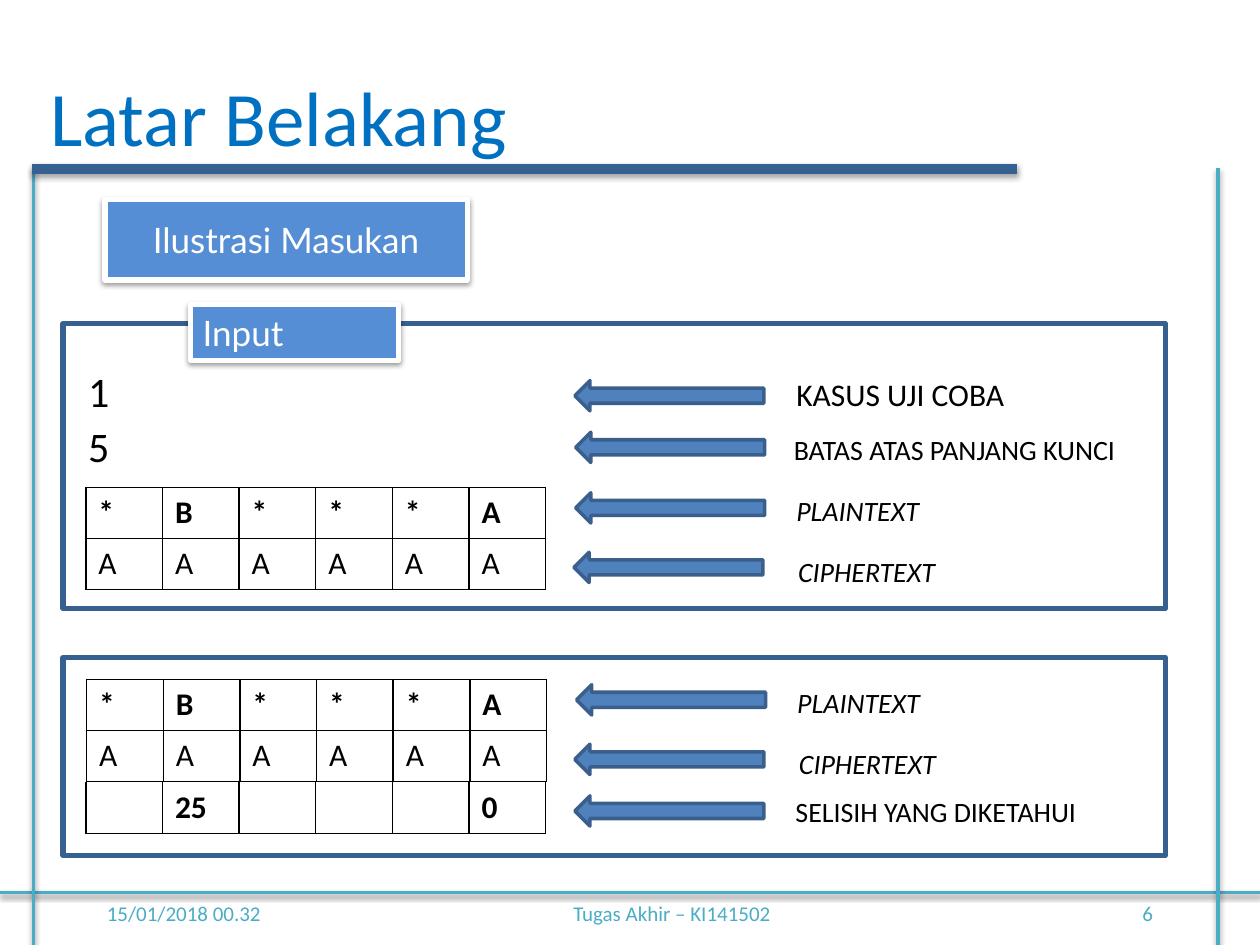
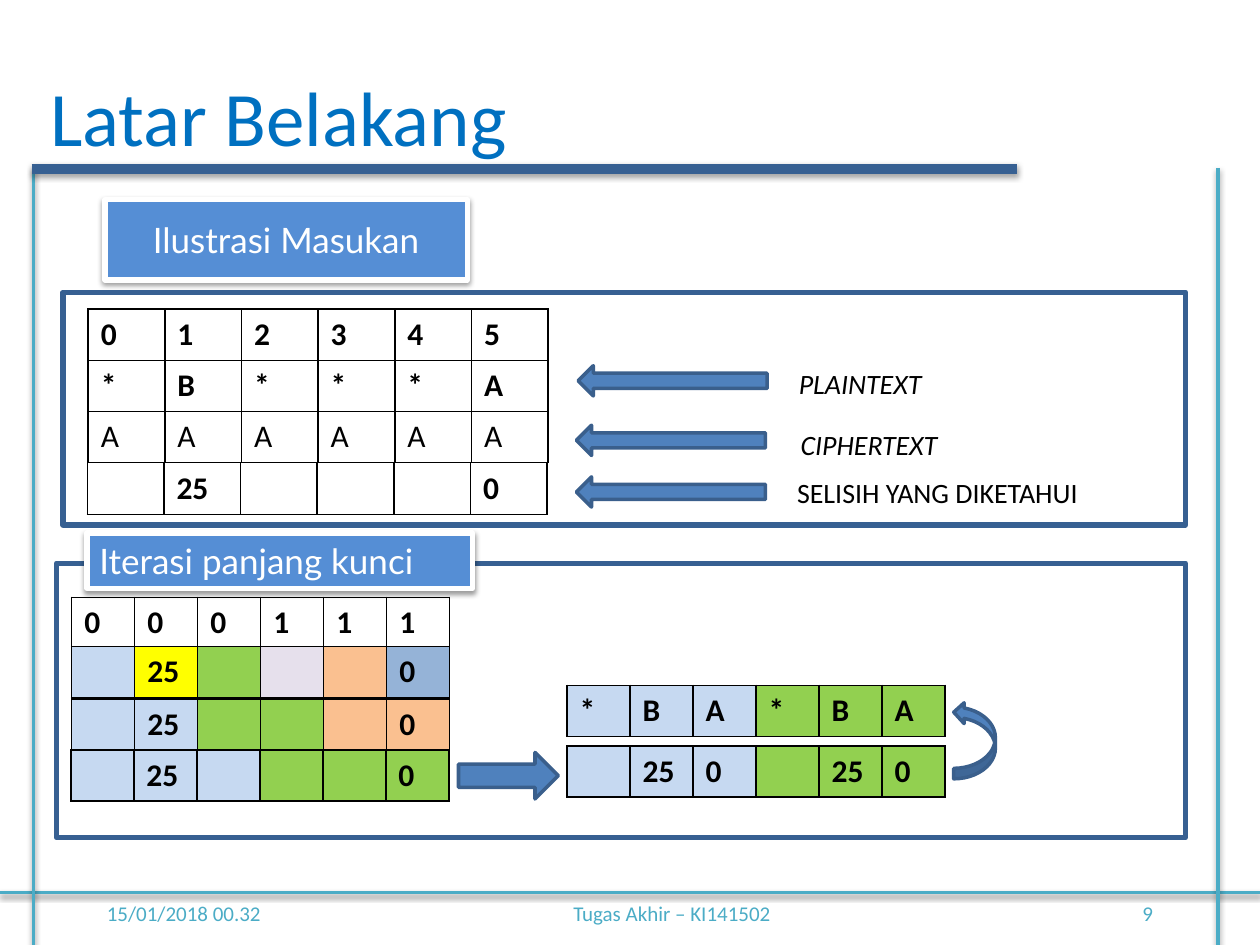
"""Build two slides that illustrate the cipher input and the key length iteration."""
from dataclasses import dataclass

from lxml import etree
from pptx import Presentation
from pptx.dml.color import RGBColor
from pptx.enum.shapes import MSO_CONNECTOR, MSO_SHAPE
from pptx.enum.text import MSO_ANCHOR, PP_ALIGN
from pptx.oxml.ns import qn
from pptx.util import Pt

STRAIGHT = MSO_CONNECTOR.STRAIGHT
RECTANGLE = MSO_SHAPE.RECTANGLE
LEFT_ARROW = MSO_SHAPE.LEFT_ARROW
RIGHT_ARROW = MSO_SHAPE.RIGHT_ARROW
CURVED_ARROW = MSO_SHAPE.CURVED_RIGHT_ARROW
TOP, MIDDLE = MSO_ANCHOR.TOP, MSO_ANCHOR.MIDDLE
LEFT, CENTER, RIGHT = PP_ALIGN.LEFT, PP_ALIGN.CENTER, PP_ALIGN.RIGHT

WIDTH, HEIGHT = 720, 540
BLACK, WHITE = "000000", "FFFFFF"
TEAL, NAVY, TITLE_BLUE = "4BACC6", "376092", "0070C0"
LABEL_BLUE, ARROW_BLUE, ARROW_EDGE = "558ED5", "4F81BD", "3A5F8C"
CELL_FILLS = {
    "b": "C6D9F1",
    "g": "92D050",
    "y": "FFFF00",
    "l": "E6E0EC",
    "o": "FAC090",
    "d": "95B3D7",
}
ROW_HEIGHT = 29.2
WIDE, NARROW = 262.8, 216


@dataclass(frozen=True)
class Frame:
    """A place on the slide, in points."""

    left: float
    top: float
    width: float
    height: float


@dataclass(frozen=True)
class TextStyle:
    """The look of one paragraph."""

    size: float
    color: str = BLACK
    font: str = "Calibri"
    align: PP_ALIGN = LEFT
    bold: bool = False
    italic: bool = False
    space_after: float = 0


@dataclass(frozen=True)
class Rule:
    """A straight line with a soft shadow."""

    start: tuple[float, float]
    end: tuple[float, float]
    color: str = TEAL
    weight: float = 2
    opacity: int = 38


@dataclass(frozen=True)
class Grid:
    """A table of equal columns whose first row is bold."""

    left: float
    top: float
    width: float
    rows: list[list[str]]
    fills: str = ""
    sides: str = "LRTB"


@dataclass(frozen=True)
class Note:
    """An arrow and its caption."""

    text: str
    arrow: tuple[float, float]
    caption: tuple[float, float]
    size: float = 16
    italic: bool = False

    def shifted(self, left: float, top: float) -> "Note":
        """Return the note moved by the given distance."""
        arrow = (self.arrow[0] + left, self.arrow[1] + top)
        caption = (self.caption[0] + left, self.caption[1] + top)
        return Note(self.text, arrow, caption, self.size, self.italic)


RULES = [
    Rule((0, 510), (WIDTH, 510)),
    Rule((19.2, 96), (19.2, HEIGHT)),
    Rule((696, 96), (696, HEIGHT)),
    Rule((18, 96.5), (581, 96.5), NAVY, 6, 35),
]
LABEL_STYLE = TextStyle(20, WHITE, "Lato", space_after=3)
HEADING_STYLE = TextStyle(20, WHITE, "Lato", CENTER, space_after=3)
CIPHER_ROWS = [list("*B***A"), list("AAAAAA")]
DIFFERENCE = ["", "25", "", "", "", "0"]
CIPHER_NOTES = [
    Note("PLAINTEXT", (280, 3), (399, 0), italic=True),
    Note("CIPHERTEXT", (279, 37), (400, 35), italic=True),
]
DIFFERENCE_NOTE = Note("SELISIH YANG DIKETAHUI", (279, 66.5), (398, 62))
INPUT_NOTES = [
    Note("KASUS UJI COBA", (328.5, 217.5), (448, 211), 18),
    Note("BATAS ATAS PANJANG KUNCI", (329, 247), (446.5, 243.5)),
]
ITERATION_GRIDS = [
    Grid(41, 341.3, NARROW, [list("000111")], sides="LRT"),
    Grid(41, 369.5, NARROW, [DIFFERENCE], "byglod"),
    Grid(41, 399.5, NARROW, [DIFFERENCE], "bbggoo"),
    Grid(40.5, 428.5, NARROW, [DIFFERENCE], "bbbggg"),
    Grid(324, 426.2, NARROW, [["", "25", "0"] * 2], "bbbggg"),
    Grid(324, 391.7, NARROW, [list("*BA*BA")], "bbbggg"),
]


def rgb(value: str) -> RGBColor:
    """Turn a hex string into a colour."""
    return RGBColor.from_string(value)


def add_effects(item, opacity: int = 0) -> None:
    """Replace the theme shadow with a soft one, or with none."""
    effects = etree.SubElement(item.element.spPr, qn("a:effectLst"))
    if opacity:
        shadow = etree.SubElement(
            effects, qn("a:outerShdw"), blurRad=str(Pt(3.1)), dist=str(Pt(1.6)),
            dir="5400000", rotWithShape="0")
        color = etree.SubElement(shadow, qn("a:srgbClr"), val=BLACK)
        etree.SubElement(color, qn("a:alpha"), val=str(opacity * 1000))


def style_paragraph(paragraph, style: TextStyle) -> None:
    """Apply a text style to a paragraph."""
    paragraph.alignment = style.align
    paragraph.space_after = Pt(style.space_after)
    font = paragraph.font
    font.name, font.size = style.font, Pt(style.size)
    font.bold, font.italic = style.bold, style.italic
    font.color.rgb = rgb(style.color)


def write(frame, lines: list[str], style: TextStyle,
          anchor: MSO_ANCHOR = TOP, wrap: bool = True) -> None:
    """Fill a text frame with one paragraph for each line."""
    frame.word_wrap = wrap
    frame.vertical_anchor = anchor
    for index, line in enumerate(lines):
        paragraph = frame.add_paragraph() if index else frame.paragraphs[0]
        paragraph.text = line
        style_paragraph(paragraph, style)


def add_text(slide, place: Frame, text: str, style: TextStyle,
             anchor: MSO_ANCHOR = TOP, wrap: bool = True) -> None:
    """Add a plain text box."""
    box = slide.shapes.add_textbox(
        Pt(place.left), Pt(place.top), Pt(place.width), Pt(place.height))
    write(box.text_frame, [text], style, anchor, wrap)


def add_rule(slide, rule: Rule) -> None:
    """Add one line of the slide frame."""
    line = slide.shapes.add_connector(
        STRAIGHT, *(Pt(value) for value in rule.start + rule.end))
    line.line.color.rgb = rgb(rule.color)
    line.line.width = Pt(rule.weight)
    add_effects(line, rule.opacity)


def add_figure(slide, kind: MSO_SHAPE, place: Frame, fill: str | None,
               edge: str, weight: float, opacity: int = 0):
    """Add a preset shape with its own fill, edge and shadow."""
    figure = slide.shapes.add_shape(
        kind, Pt(place.left), Pt(place.top), Pt(place.width), Pt(place.height))
    if fill:
        figure.fill.solid()
        figure.fill.fore_color.rgb = rgb(fill)
    else:
        figure.fill.background()
    figure.line.color.rgb = rgb(edge)
    figure.line.width = Pt(weight)
    add_effects(figure, opacity)
    return figure


def add_panel(slide, place: Frame):
    """Add an outlined panel."""
    return add_figure(slide, RECTANGLE, place, None, NAVY, 3)


def add_arrow(slide, kind: MSO_SHAPE, place: Frame):
    """Add a block arrow."""
    return add_figure(slide, kind, place, ARROW_BLUE, ARROW_EDGE, 2)


def add_label(slide, place: Frame, text: str, style: TextStyle) -> None:
    """Add a blue label with a white edge."""
    label = add_figure(slide, RECTANGLE, place, LABEL_BLUE, WHITE, 3, 38)
    write(label.text_frame, [text], style, MIDDLE)


def add_borders(cell, sides: str) -> None:
    """Draw the listed sides of a cell in black and hide the others."""
    properties = cell._tc.get_or_add_tcPr()
    for side in "LRTB":
        line = etree.SubElement(properties, qn(f"a:ln{side}"), w=str(Pt(1)))
        if side in sides:
            fill = etree.SubElement(line, qn("a:solidFill"))
            etree.SubElement(fill, qn("a:srgbClr"), val=BLACK)
        else:
            etree.SubElement(line, qn("a:noFill"))


def add_grid(slide, grid: Grid) -> None:
    """Add a table of letters or numbers."""
    count = len(grid.rows[0])
    table = slide.shapes.add_table(
        len(grid.rows), count, Pt(grid.left), Pt(grid.top),
        Pt(grid.width), Pt(ROW_HEIGHT * len(grid.rows))).table
    table.first_row = table.horz_banding = False
    for column in table.columns:
        column.width = Pt(grid.width / count)
    for row_index, row in enumerate(grid.rows):
        table.rows[row_index].height = Pt(ROW_HEIGHT)
        style = TextStyle(18, bold=row_index == 0)
        for column_index, text in enumerate(row):
            cell = table.cell(row_index, column_index)
            write(cell.text_frame, [text], style)
            add_borders(cell, grid.sides)
            if grid.fills:
                cell.fill.solid()
                cell.fill.fore_color.rgb = rgb(CELL_FILLS[grid.fills[column_index]])
            else:
                cell.fill.background()


def add_note(slide, note: Note) -> None:
    """Add an arrow and its caption."""
    add_arrow(slide, LEFT_ARROW, Frame(*note.arrow, 108, 17.3))
    add_text(slide, Frame(*note.caption, 210, 26.6), note.text,
             TextStyle(note.size, italic=note.italic))


def add_cipher(slide, left: float, top: float, difference: bool = True) -> None:
    """Add the cipher table with its notes and, if wanted, the difference row."""
    add_grid(slide, Grid(left, top, WIDE, CIPHER_ROWS))
    if difference:
        add_grid(slide, Grid(left - 0.5, top + 58.7, WIDE, [DIFFERENCE], sides="LRB"))
    for note in CIPHER_NOTES + [DIFFERENCE_NOTE] * difference:
        add_note(slide, note.shifted(left, top))


def add_page(deck, number: int):
    """Add a slide with the shared footer, lines, title and heading."""
    page = deck.slides.add_slide(deck.slide_layouts[6])
    footers = [
        (54, 150, "15/01/2018 00.32", LEFT),
        (270, 228, "Tugas Akhir – KI141502", CENTER),
        (516, 150, str(number), RIGHT),
    ]
    for left, width, text, align in footers:
        add_text(page, Frame(left, 504, width, 36), text,
                 TextStyle(12, TEAL, align=align), MIDDLE)
    for rule in RULES:
        add_rule(page, rule)
    add_text(page, Frame(21.6, 36, 278, 60.5), "Latar Belakang",
             TextStyle(44, TITLE_BLUE), wrap=False)
    add_label(page, Frame(60, 114, 207, 46), "Ilustrasi Masukan", HEADING_STYLE)
    return page


def build_input_page(deck) -> None:
    """Build the slide that explains the input."""
    page = add_page(deck, 6)
    panel = add_panel(page, Frame(36, 185, 630, 162.7))
    panel.text_frame.margin_left = Pt(14.4)
    panel.text_frame.margin_top = Pt(23.6)
    write(panel.text_frame, ["1", "5"], TextStyle(24, space_after=3))
    add_label(page, Frame(108.7, 174.2, 119, 31.7), "Input", LABEL_STYLE)
    add_panel(page, Frame(36, 375.8, 630, 113))
    for note in INPUT_NOTES:
        add_note(page, note)
    add_cipher(page, 49, 278.6, difference=False)
    add_cipher(page, 49.5, 388.3)


def build_iteration_page(deck) -> None:
    """Build the slide that explains the key length iteration."""
    page = add_page(deck, 9)
    add_panel(page, Frame(36, 167, 641.5, 133))
    add_cipher(page, 50.4, 206)
    add_grid(page, Grid(50.4, 176.5, WIDE, [list("012345")], sides="LRT"))
    add_panel(page, Frame(32.4, 321.8, 645, 157))
    add_label(page, Frame(49.7, 304.6, 220.3, 31.7), "Iterasi panjang kunci", LABEL_STYLE)
    for grid in ITERATION_GRIDS:
        add_grid(page, grid)
    add_arrow(page, RIGHT_ARROW, Frame(262, 430, 57, 26.6))
    loop = add_arrow(page, CURVED_ARROW, Frame(545, 401, 23.8, 44))
    loop.rotation = 180


def main() -> None:
    """Build and save the deck."""
    deck = Presentation()
    deck.slide_width, deck.slide_height = Pt(WIDTH), Pt(HEIGHT)
    build_input_page(deck)
    build_iteration_page(deck)
    deck.save("out.pptx")


main()
